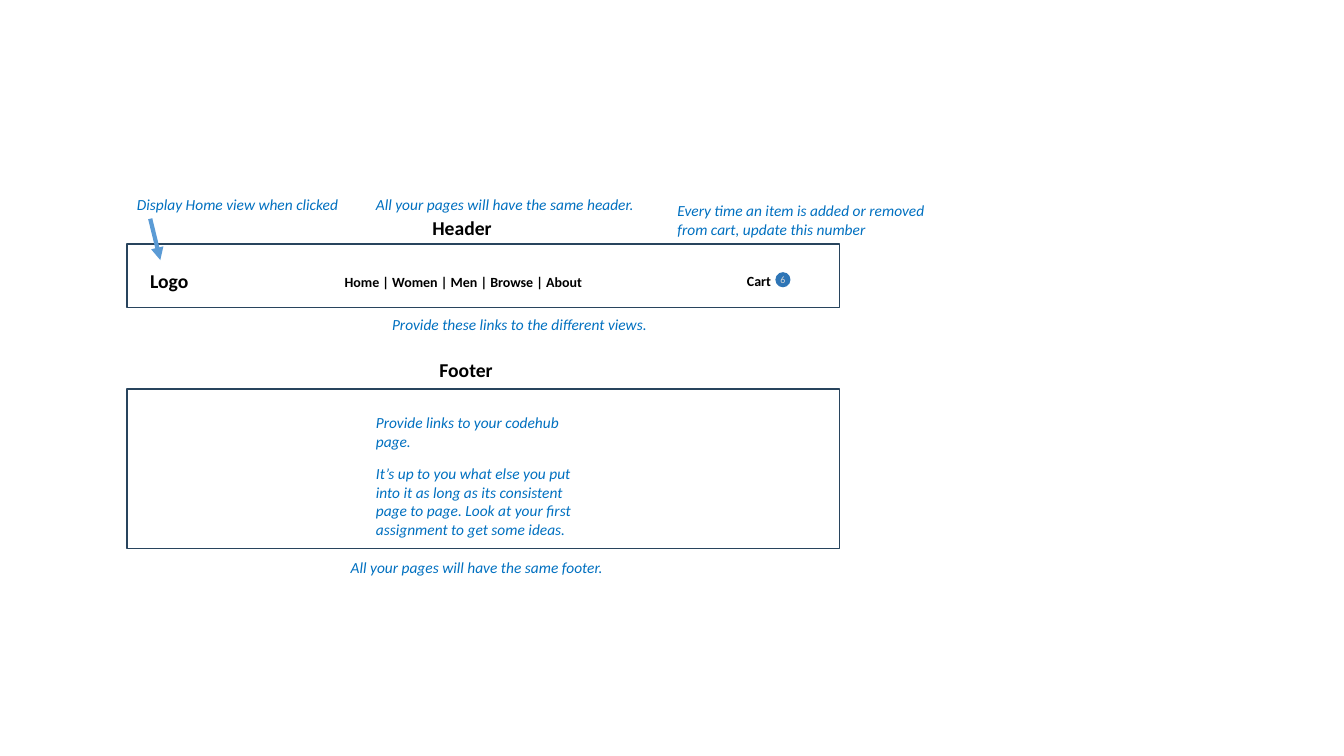
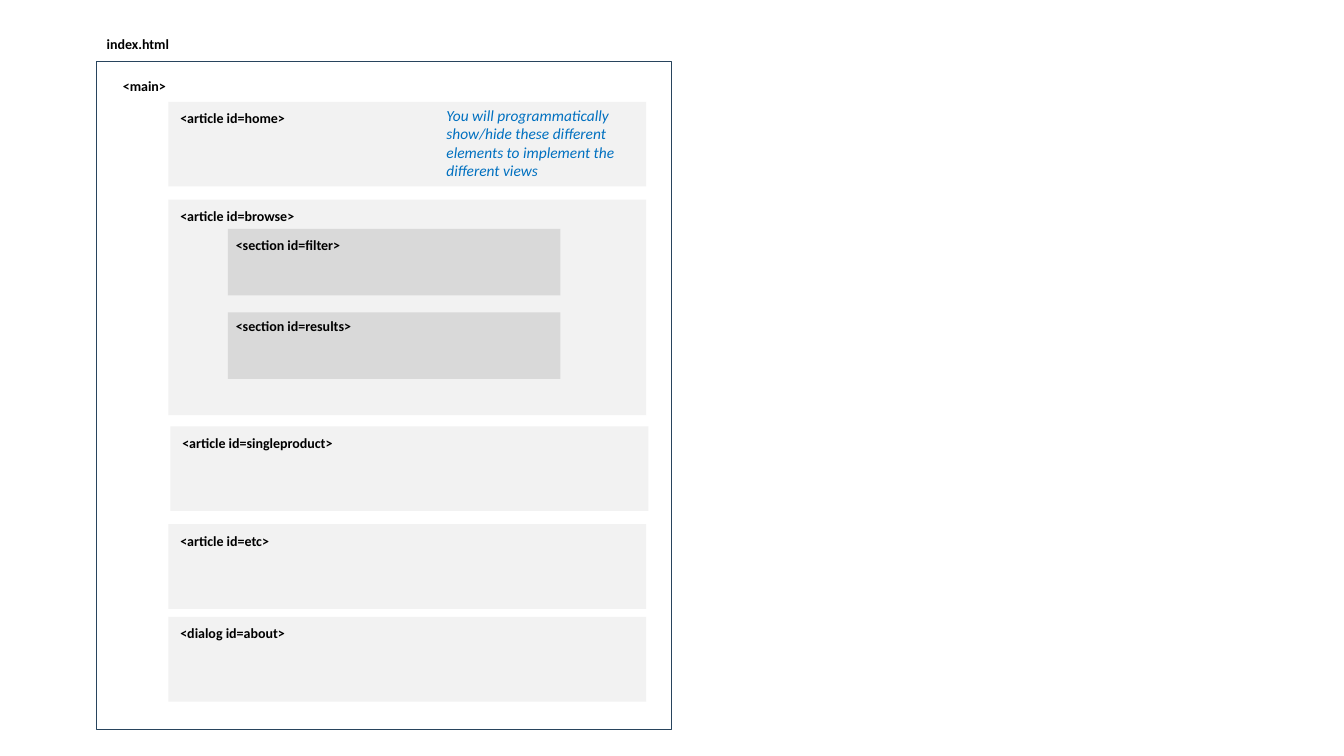
from pptx import Presentation
from pptx.dml.color import RGBColor
from pptx.enum.shapes import MSO_CONNECTOR, MSO_SHAPE
from pptx.enum.text import MSO_ANCHOR, PP_ALIGN
from pptx.oxml.ns import qn
from pptx.util import Inches, Pt
from lxml.etree import SubElement

FONT = "Calibri"
INK = "000000"
NOTE_BLUE = "0070C0"
FRAME_BLUE = "28445D"
ARROW_BLUE = "5B9BD5"
BADGE_BLUE = "2E75B6"
ARTICLE_GREY = "F2F2F2"
SECTION_GREY = "D9D9D9"


def color(value):
    return RGBColor.from_string(value)


def add_span(para, text, size, ink, bold=False, italic=False):
    span = para.add_run()
    span.text = text
    font = span.font
    font.name, font.size = FONT, Pt(size)
    font.bold, font.italic = bold, italic
    font.color.rgb = color(ink)


def add_text(page, left, top, width, height, text, **style):
    box = page.shapes.add_textbox(Inches(left), Inches(top), Inches(width), Inches(height))
    box.text_frame.word_wrap = True
    add_span(box.text_frame.paragraphs[0], text, **style)


def add_heading(page, left, top, width, text):
    add_text(page, left, top, width, 0.34, text, size=14, ink=INK, bold=True)


def add_label(page, left, top, width, text):
    add_text(page, left, top, width, 0.27, text, size=10, ink=INK, bold=True)


def add_note(page, left, top, width, text, height=0.29):
    add_text(page, left, top, width, height, text, size=11, ink=NOTE_BLUE, italic=True)


def add_block(page, left, top, width, height, fill=None, line=None, kind=MSO_SHAPE.RECTANGLE):
    block = page.shapes.add_shape(kind, Inches(left), Inches(top), Inches(width), Inches(height))
    block.shadow.inherit = False
    if fill:
        block.fill.solid()
        block.fill.fore_color.rgb = color(fill)
    else:
        block.fill.background()
    if line:
        block.line.color.rgb = color(line)
        block.line.width = Pt(1)
    else:
        block.line.fill.background()
    return block


def add_badge(page, left, top, size, text):
    badge = add_block(page, left, top, size, size, fill=BADGE_BLUE, kind=MSO_SHAPE.OVAL)
    frame = badge.text_frame
    frame.margin_left = frame.margin_top = frame.margin_right = frame.margin_bottom = 0
    frame.vertical_anchor = MSO_ANCHOR.MIDDLE
    para = frame.paragraphs[0]
    para.alignment = PP_ALIGN.CENTER
    add_span(para, text, size=7, ink=SECTION_GREY)


def add_arrow(page, start, end):
    points = [Inches(value) for value in (*start, *end)]
    arrow = page.shapes.add_connector(MSO_CONNECTOR.STRAIGHT, *points)
    arrow.line.color.rgb = color(ARROW_BLUE)
    arrow.line.width = Pt(3)
    SubElement(arrow.line._get_or_add_ln(), qn("a:tailEnd"), type="triangle")
    SubElement(arrow._element.spPr, qn("a:effectLst"))


def build_header_footer(page):
    frame_left, frame_width = 1.26, 7.07
    add_block(page, frame_left, 2.42, frame_width, 0.63, line=FRAME_BLUE)
    add_heading(page, 4.19, 2.09, 2.13, "Header")
    add_heading(page, 1.39, 2.62, 0.81, "Logo")
    add_label(page, 3.32, 2.66, 2.84, "Home | Women | Men | Browse | About")
    add_label(page, 7.31, 2.65, 0.72, "Cart")
    add_badge(page, 7.69, 2.7, 0.15, "6")

    add_block(page, frame_left, 3.86, frame_width, 1.58, line=FRAME_BLUE)
    add_heading(page, 4.26, 3.5, 2.13, "Footer")

    add_note(page, frame_left, 1.89, 2.58, "Display Home view when clicked")
    add_arrow(page, (1.49, 2.17), (1.59, 2.58))
    add_note(page, 3.63, 1.89, 2.83, "All your pages will have the same header.")
    add_note(page, 6.62, 1.95, 2.83,
             "Every time an item is added or removed from cart, update this number", height=0.47)
    add_note(page, 3.79, 3.08, 2.83, "Provide these links to the different views.")
    add_note(page, 3.63, 4.05, 2.34, "Provide links to your codehub page.")
    add_note(page, 3.63, 4.56, 2.34,
             "It’s up to you what else you put into it as long as its consistent page to page. "
             "Look at your first assignment to get some ideas.", height=0.84)
    add_note(page, 3.38, 5.49, 2.83, "All your pages will have the same footer.")


def build_page_structure(page):
    add_block(page, 0.96, 0.61, 5.7, 6.63, line=FRAME_BLUE)
    add_label(page, 0.96, 0.3, 1.15, "index.html")
    add_label(page, 1.12, 0.72, 1.15, "<main>")

    articles = [
        (1.67, 1.01, 0.84, "<article id=home>"),
        (1.67, 1.98, 2.14, "<article id=browse>"),
        (1.69, 4.23, 0.84, "<article id=singleproduct>"),
        (1.67, 5.2, 0.84, "<article id=etc>"),
        (1.67, 6.12, 0.84, "<dialog id=about>"),
    ]
    for left, top, height, tag in articles:
        add_block(page, left, top, 4.74, height, fill=ARTICLE_GREY)
        add_label(page, left + 0.02, top + 0.03, 2.02, tag)

    sections = [(2.27, 2.3, "<section id=filter>"), (3.1, 3.1, "<section id=results>")]
    for top, label_top, tag in sections:
        add_block(page, 2.26, top, 3.3, 0.66, fill=SECTION_GREY)
        add_label(page, 2.24, label_top, 2.02, tag)

    add_note(page, 4.33, 1, 2.34,
             "You will programmatically show/hide these different elements "
             "to implement the different views", height=0.84)


def main():
    deck = Presentation()
    deck.slide_width, deck.slide_height = Inches(13.33), Inches(7.5)
    blank = deck.slide_layouts[6]
    for build in (build_header_footer, build_page_structure):
        build(deck.slides.add_slide(blank))
    deck.save("out.pptx")


if __name__ == "__main__":
    main()
